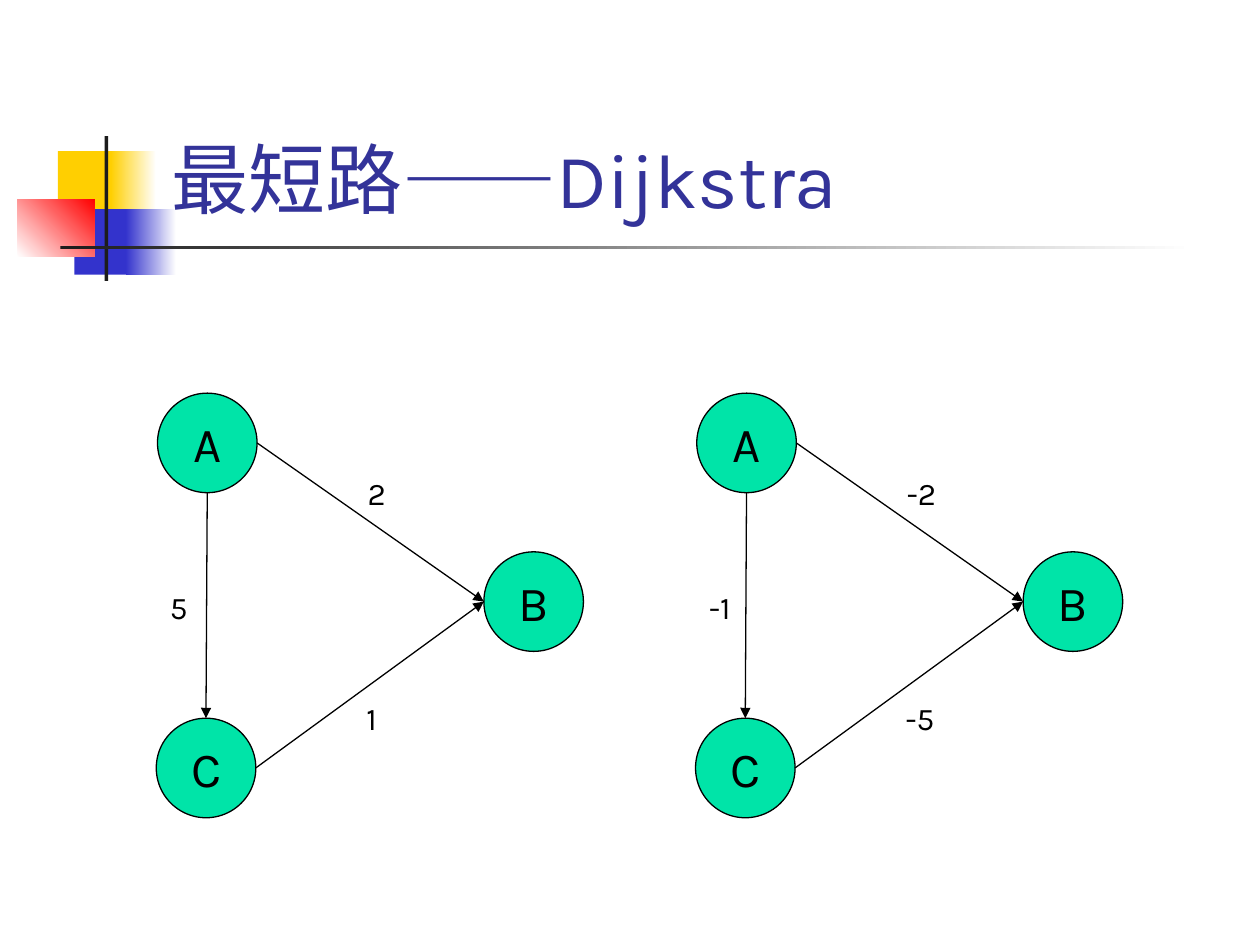
"""Build a slide with two weighted graphs for Dijkstra's shortest path."""
from dataclasses import dataclass
from typing import NamedTuple

from lxml import etree
from pptx import Presentation
from pptx import util as u
from pptx.dml.color import RGBColor
from pptx.enum import shapes, text
from pptx.oxml import ns


@dataclass(frozen=True)
class Theme:
    font: str = "Karla"
    title_size: int = 44
    node_size: int = 28
    weight_size: int = 18
    line_width: float = 0.75
    title: str = "333399"
    ink: str = "000000"
    node: str = "00E4A8"
    yellow: str = "FFCF01"
    blue: str = "3333CC"
    red: str = "FF0000"
    dark: str = "1C1C1C"
    paper: str = "FFFFFF"


class Block(NamedTuple):
    left: float
    top: float
    width: float
    height: float
    start: str
    end: str = ""
    angle: int = 0


class Node(NamedTuple):
    name: str
    left: float
    top: float

    def anchor(self, across: float, down: float) -> tuple[float, float]:
        return self.left + across * DIAMETER, self.top + down * DIAMETER


class Graph(NamedTuple):
    offset: float
    weight_width: float
    ac: str
    cb: str
    ab: str


THEME = Theme()
DIAMETER = 0.79
BLOCKS = [
    Block(0.46, 1.2, 0.48, 0.52, THEME.yellow),
    Block(0.88, 1.2, 0.36, 0.52, THEME.yellow, THEME.paper),
    Block(0.59, 1.66, 0.46, 0.52, THEME.blue),
    Block(1, 1.66, 0.4, 0.52, THEME.blue, THEME.paper),
    Block(0.14, 1.58, 0.61, 0.46, THEME.paper, THEME.red, 45),
    Block(0.83, 1.08, 0.03, 1.15, THEME.dark),
    Block(0.48, 1.95, 9, 0.03, THEME.dark, THEME.paper),
]
GRAPHS = [Graph(0, 0.34, "5", "1", "2"), Graph(4.28, 0.43, "-1", "-5", "-2")]


def color(value: str) -> RGBColor:
    return RGBColor.from_string(value)


def add_run(frame, wording: str, size: int, ink: str) -> None:
    run = frame.paragraphs[0].add_run()
    run.text = wording
    run.font.name = THEME.font
    run.font.size = u.Pt(size)
    run.font.color.rgb = color(ink)


def draw_block(parent, block: Block) -> None:
    area = parent.add_shape(shapes.MSO_SHAPE.RECTANGLE, *map(u.Inches, block[:4]))
    area.shadow.inherit = False
    area.line.fill.background()
    if not block.end:
        area.fill.solid()
        area.fill.fore_color.rgb = color(block.start)
        return
    area.fill.gradient()
    area.fill.gradient_angle = block.angle
    for stop, value in zip(area.fill.gradient_stops, (block.start, block.end)):
        stop.color.rgb = color(value)


def draw_title(parent, wording: str) -> None:
    heading = parent.add_textbox(*map(u.Inches, (1.26, 0.23, 8.52, 1.6)))
    frame = heading.text_frame
    frame.word_wrap = True
    frame.vertical_anchor = text.MSO_ANCHOR.BOTTOM
    add_run(frame, wording, THEME.title_size, THEME.title)


def draw_node(parent, node: Node) -> None:
    circle = parent.add_shape(
        shapes.MSO_SHAPE.OVAL,
        *map(u.Inches, (node.left, node.top, DIAMETER, DIAMETER)),
    )
    circle.shadow.inherit = False
    circle.fill.solid()
    circle.fill.fore_color.rgb = color(THEME.node)
    circle.line.color.rgb = color(THEME.ink)
    circle.line.width = u.Pt(THEME.line_width)
    frame = circle.text_frame
    frame.word_wrap = False
    frame.vertical_anchor = text.MSO_ANCHOR.MIDDLE
    frame.paragraphs[0].alignment = text.PP_ALIGN.CENTER
    add_run(frame, node.name, THEME.node_size, THEME.ink)


def draw_edge(parent, start: tuple[float, float], end: tuple[float, float]) -> None:
    edge = parent.add_connector(
        shapes.MSO_CONNECTOR.STRAIGHT, *map(u.Inches, (*start, *end))
    )
    edge.line.color.rgb = color(THEME.ink)
    edge.line.width = u.Pt(THEME.line_width)
    etree.SubElement(edge.line._get_or_add_ln(), ns.qn("a:tailEnd"), type="triangle")
    etree.SubElement(edge._element.spPr, ns.qn("a:effectLst"))


def draw_weight(parent, value: str, left: float, top: float, width: float) -> None:
    label = parent.add_textbox(*map(u.Inches, (left, top, width, 0.4)))
    frame = label.text_frame
    frame.word_wrap = False
    frame.auto_size = text.MSO_AUTO_SIZE.SHAPE_TO_FIT_TEXT
    add_run(frame, value, THEME.weight_size, THEME.ink)


def draw_graph(parent, graph: Graph) -> None:
    group = parent.add_group_shape().shapes
    a = Node("A", 1.25 + graph.offset, 3.12)
    b = Node("B", 3.84 + graph.offset, 4.38)
    c = Node("C", 1.24 + graph.offset, 5.7)
    for node in (a, b, c):
        draw_node(group, node)
    draw_edge(group, a.anchor(0.5, 1), c.anchor(0.5, 0))
    draw_edge(group, a.anchor(1, 0.5), b.anchor(0, 0.5))
    draw_edge(group, c.anchor(1, 0.5), b.anchor(0, 0.5))
    for value, left, top in (
        (graph.ac, 1.25, 4.62),
        (graph.cb, 2.81, 5.5),
        (graph.ab, 2.82, 3.71),
    ):
        draw_weight(group, value, left + graph.offset, top, graph.weight_width)


def main() -> None:
    deck = Presentation()
    deck.slide_width, deck.slide_height = u.Inches(10), u.Inches(7.5)
    slide = deck.slides.add_slide(deck.slide_layouts[6])
    for block in BLOCKS:
        draw_block(slide.shapes, block)
    draw_title(slide.shapes, "最短路——Dijkstra")
    for graph in GRAPHS:
        draw_graph(slide.shapes, graph)
    deck.save("out.pptx")


if __name__ == "__main__":
    main()
